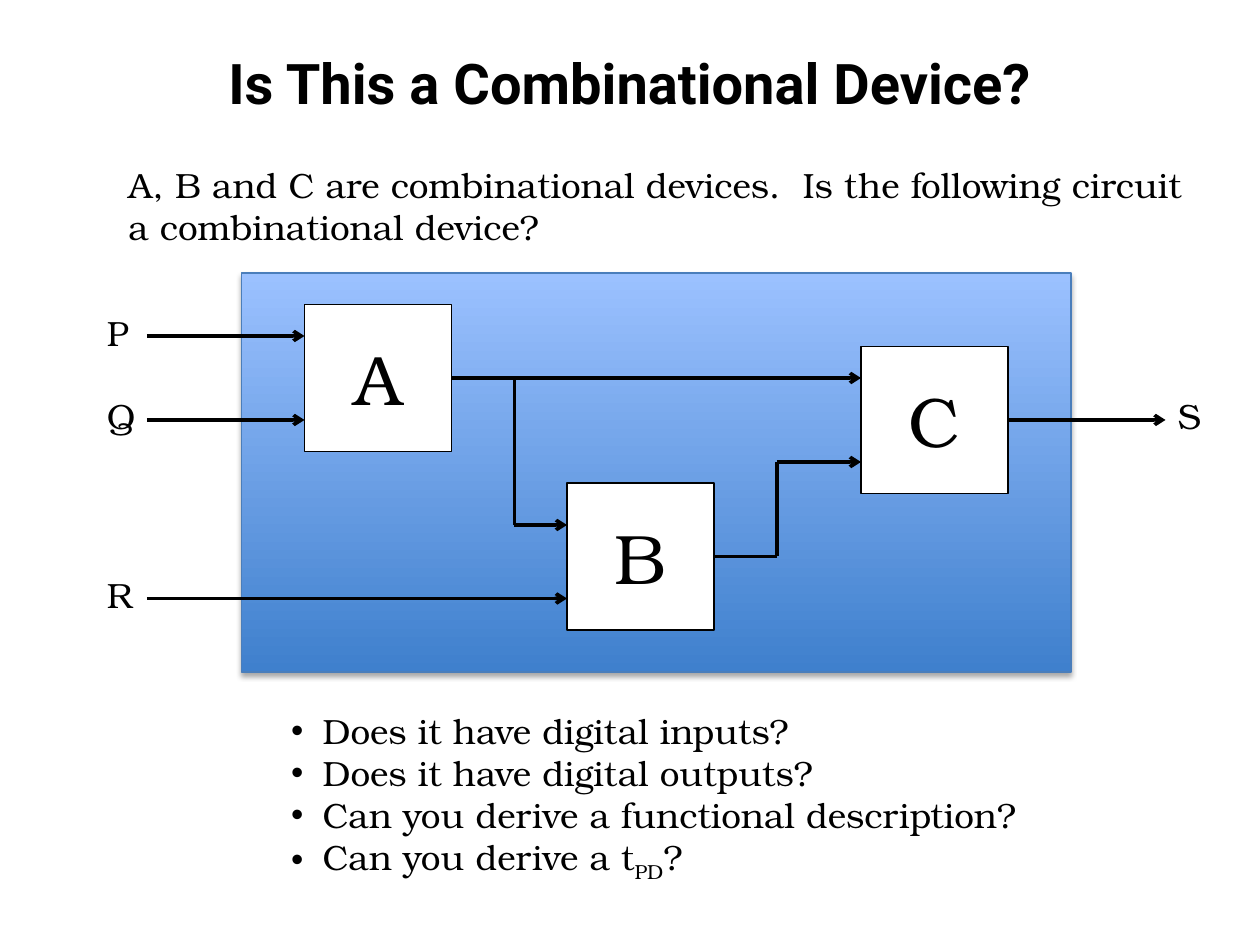
from lxml import etree
from pptx import Presentation
from pptx.dml import color
from pptx.enum import shapes, text
from pptx.oxml import ns
from pptx.util import Inches, Pt

BLACK = "000000"
WHITE = "FFFFFF"
SERIF = "TeX Gyre Bonum"
SANS = "Roboto"
CELLS_PER_INCH = 12


def rgb(value):
    return color.RGBColor.from_string(value)


def grid(*cells):
    return [Inches(cell / CELLS_PER_INCH) for cell in cells]


def add_child(parent, tag, **attributes):
    child = etree.SubElement(parent, ns.qn(tag))
    for name, value in attributes.items():
        child.set(name, str(value))
    return child


def place(shape, left, top, width, height):
    frame = dict(left=left, top=top, width=width, height=height)
    for name, value in frame.items():
        setattr(shape, name, Inches(value))


def write(para, content, size, face=SERIF, bold=False, baseline=None):
    span = para.add_run()
    span.text = content
    for name, value in dict(size=Pt(size), name=face, bold=bold).items():
        setattr(span.font, name, value)
    span.font.color.rgb = rgb(BLACK)
    if baseline is not None:
        span.font._element.set("baseline", str(baseline))


def set_title(page, content):
    title = page.shapes.title
    place(title, 0.5, 0.3, 9, 0.7)
    title.text_frame.vertical_anchor = text.MSO_ANCHOR.MIDDLE
    para = title.text_frame.paragraphs[0]
    para.alignment = text.PP_ALIGN.CENTER
    write(para, content, 32, SANS, True)


def set_questions(page, questions):
    body = page.placeholders[1]
    place(body, 2.21, 5.58, 6.12, 1.45)
    frame = body.text_frame
    frame.auto_size = text.MSO_AUTO_SIZE.NONE
    frame.vertical_anchor = text.MSO_ANCHOR.TOP
    for index, parts in enumerate(questions):
        para = frame.add_paragraph() if index else frame.paragraphs[0]
        para.space_before = Pt(0)
        properties = para._p.get_or_add_pPr()
        properties.set("marL", str(Inches(0.25)))
        properties.set("indent", str(Inches(-0.25)))
        add_child(properties, "a:buChar", char="•")
        for content, baseline in parts:
            write(para, content, 20, baseline=baseline)


def add_text(page, content, left, top, width, height, wrap=False):
    box = page.shapes.add_textbox(*map(Inches, (left, top, width, height)))
    box.text_frame.word_wrap = wrap
    write(box.text_frame.paragraphs[0], content, 20)


def add_rectangle(page, cells, line_color, line_width):
    box = page.shapes.add_shape(shapes.MSO_SHAPE.RECTANGLE, *grid(*cells))
    box.shadow.inherit = False
    box.line.color.rgb = rgb(line_color)
    box.line.width = Pt(line_width)
    return box


def add_panel(page):
    panel = add_rectangle(page, (23, 26, 79, 38), "4A7EBB", 0.75)
    panel.fill.gradient()
    panel.fill.gradient_angle = 270
    for stop, value in zip(panel.fill.gradient_stops, ("9BC1FF", "3F80CD")):
        stop.color.rgb = rgb(value)
    effects = panel._element.spPr.find(ns.qn("a:effectLst"))
    shadow = add_child(effects, "a:outerShdw", blurRad=Pt(3.1), dist=Pt(1.8),
                       dir=90 * 60000, rotWithShape=0)
    shade = add_child(shadow, "a:srgbClr", val=BLACK)
    add_child(shade, "a:alpha", val=35000)


def add_device(page, name, left, top):
    device = add_rectangle(page, (left, top, 14, 14), BLACK, 1)
    device.fill.solid()
    device.fill.fore_color.rgb = rgb(WHITE)
    device.text_frame.vertical_anchor = text.MSO_ANCHOR.MIDDLE
    para = device.text_frame.paragraphs[0]
    para.alignment = text.PP_ALIGN.CENTER
    write(para, name, 40)
    return device


def add_wire(page, start, end, arrow=True, source=None):
    wire = page.shapes.add_connector(shapes.MSO_CONNECTOR.STRAIGHT,
                                     *grid(*start, *end))
    wire.line.color.rgb = rgb(BLACK)
    wire.line.width = Pt(2)
    if arrow:
        add_child(wire.line._get_or_add_ln(), "a:tailEnd", type="arrow")
    add_child(wire._element.spPr, "a:effectLst")
    if source is not None:
        wire.begin_connect(source, 3)


def add_circuit(page):
    add_panel(page)
    device_a = add_device(page, "A", 29, 29)
    device_b = add_device(page, "B", 54, 46)
    device_c = add_device(page, "C", 82, 33)

    for start, end in (((14, 32), (29, 32)), ((14, 40), (29, 40)),
                       ((14, 57), (54, 57)), ((49, 50), (54, 50)),
                       ((74, 44), (82, 44))):
        add_wire(page, start, end)
    for start, end in (((49, 50), (49, 36)), ((74, 44), (74, 53))):
        add_wire(page, start, end, arrow=False)
    add_wire(page, (43, 36), (82, 36), source=device_a)
    add_wire(page, (68, 53), (74, 53), arrow=False, source=device_b)
    add_wire(page, (96, 40), (111, 40), source=device_c)

    for name, left, top, width in (("P", 0.75, 2.42, 0.38),
                                   ("Q", 0.75, 3.08, 0.43),
                                   ("R", 0.75, 4.5, 0.4),
                                   ("S", 9.25, 3.08, 0.39)):
        add_text(page, name, left, top, width, 0.44)


def main():
    deck = Presentation()
    deck.slide_width, deck.slide_height = Inches(10), Inches(7.5)
    page = deck.slides.add_slide(deck.slide_layouts[1])
    set_title(page, "Is This a Combinational Device?")
    add_text(page, "A, B and C are combinational devices.  "
             "Is the following circuit a combinational device?",
             0.92, 1.25, 8.67, 0.77, wrap=True)
    add_circuit(page)
    set_questions(page, [
        [("Does it have digital inputs?", None)],
        [("Does it have digital outputs?", None)],
        [("Can you derive a functional description?", None)],
        [("Can you derive a t", None), ("PD", -25000), ("?", None)],
    ])
    deck.save("out.pptx")


if __name__ == "__main__":
    main()
